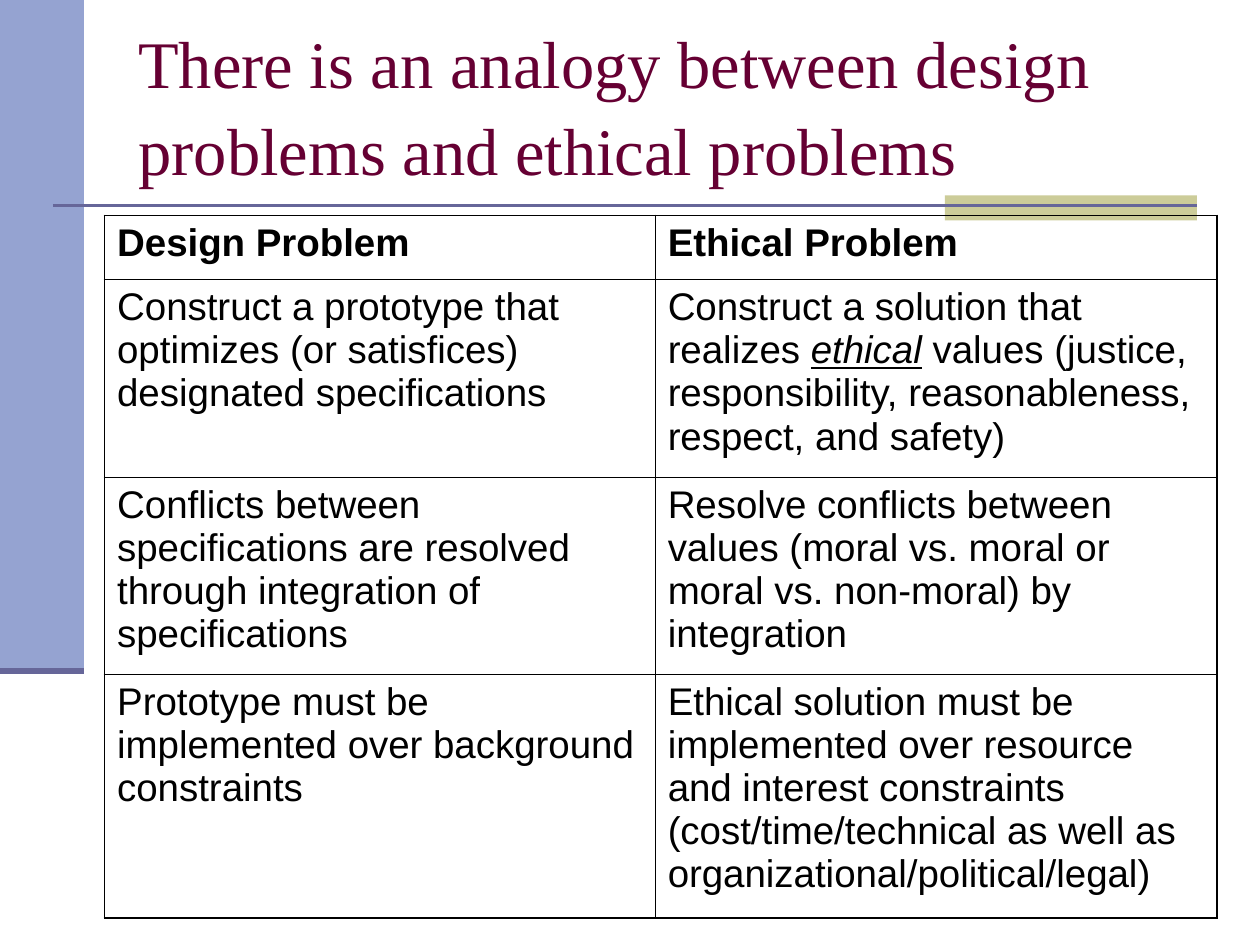
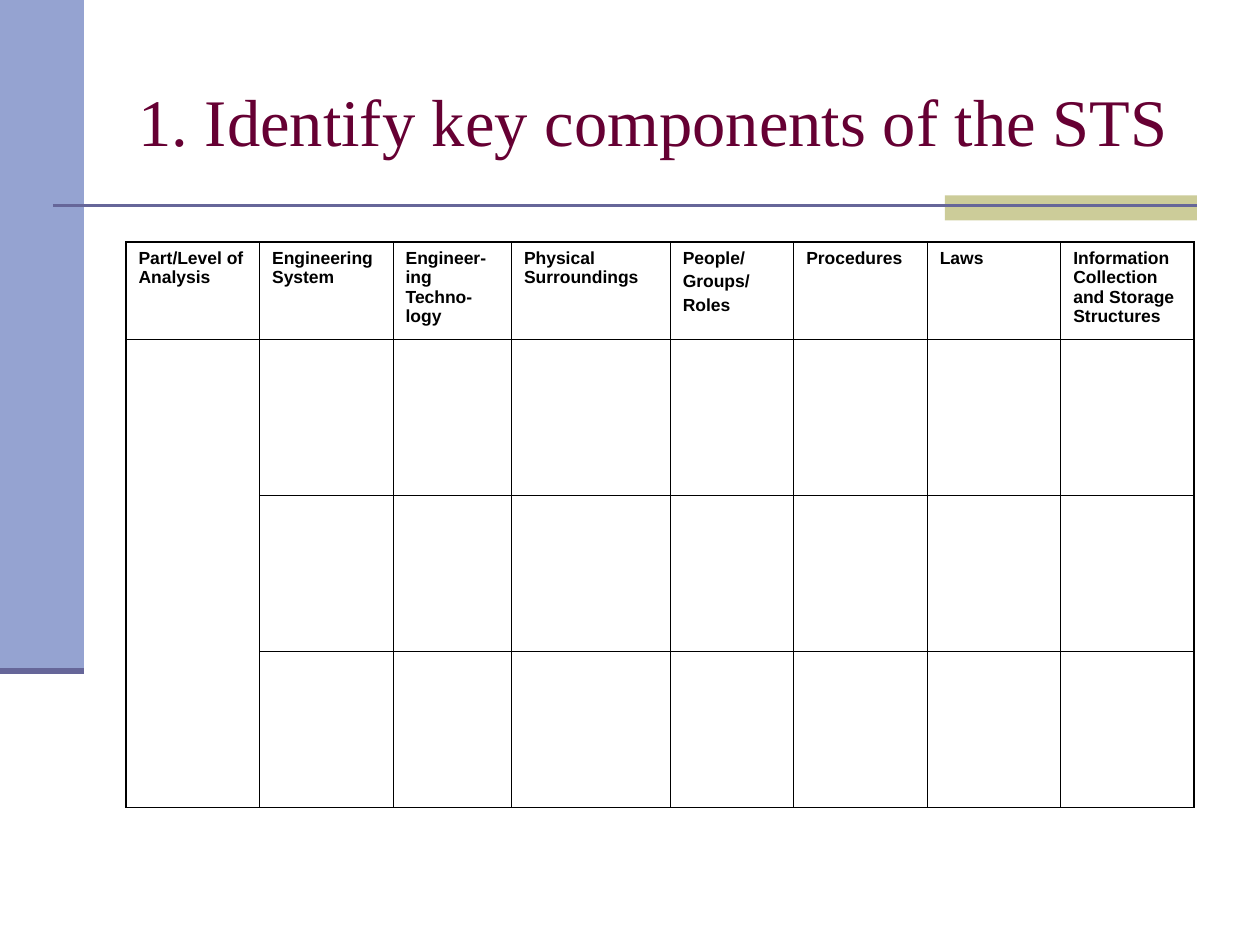
from lxml import etree
from pptx import Presentation
from pptx.dml.color import RGBColor
from pptx.enum.shapes import MSO_CONNECTOR as CONN, MSO_SHAPE as SHAPE
from pptx.enum.text import MSO_ANCHOR as ANCHOR
from pptx.oxml.ns import qn
from pptx.util import Inches, Pt

W, H = 10, 7.5
COLORS = dict(band="95A3D1", accent="CCCC99", rule="666699",
              title="660033", text="000000")
TITLE = dict(size=Pt(38), name="Times New Roman")
OUTER, INNER = 1.08, 0.45  # border widths in points

# A cell is a list of paragraphs; a paragraph is text or a list of (text, format) runs.
ETHICAL_VALUES = [
    ("Construct a solution that realizes ", {}),
    ("ethical", dict(italic=True, underline=True)),
    (" values (justice, responsibility, reasonableness, respect, and safety)", {}),
]
SLIDES = [
    dict(
        title="There is an analogy between design problems and ethical problems",
        title_box=(1, 0.17, 8.5, 1.28),
        table_at=(0.83, 1.71), cols=[4.37, 4.46], rows=[0.51, 1.56, 1.56, 1.93],
        size=22, before=5.5, merge=None,
        cells=[
            [["Design Problem"], ["Ethical Problem"]],
            [["Construct a prototype that optimizes (or satisfices) "
              "designated specifications"], [ETHICAL_VALUES]],
            [["Conflicts between specifications are resolved through "
              "integration of specifications"],
             ["Resolve conflicts between values (moral vs. moral or "
              "moral vs. non-moral) by integration"]],
            [["Prototype must be implemented over background constraints"],
             ["Ethical solution must be implemented over resource and interest "
              "constraints (cost/time/technical as well as "
              "organizational/political/legal)"]],
        ],
    ),
    dict(
        title="1. Identify key components of the STS",
        title_box=(1, 0.3, 8.5, 1.25),
        table_at=(1, 1.92), rows=[0.77] + [1.24] * 3,
        cols=[1.06, 1.06, 0.94, 1.26, 0.98, 1.06, 1.06, 1.06],
        size=10, before=2.5, merge=((1, 0), (3, 0)),
        cells=[
            [["Part/Level of Analysis"], ["Engineering System"],
             ["Engineer-ing Techno-logy"], ["Physical Surroundings"],
             ["People/", "Groups/", "Roles"], ["Procedures"], ["Laws"],
             ["Information Collection and Storage Structures"]],
        ],
    ),
]


def rgb(hex_color):
    return RGBColor.from_string(hex_color)


def inches(values):
    return [Inches(v) for v in values]


def add_block(s, box, color):
    sp = s.shapes.add_shape(SHAPE.RECTANGLE, *inches(box))
    sp.shadow.inherit = False
    sp.fill.solid()
    sp.fill.fore_color.rgb = rgb(color)
    sp.line.fill.background()


def add_rule(s, x1, x2, y, width):
    line = s.shapes.add_connector(CONN.STRAIGHT, *inches((x1, y, x2, y)))
    line.line.color.rgb = rgb(COLORS["rule"])
    line.line.width = Pt(width)
    etree.SubElement(line._element.spPr, qn("a:effectLst"))


def add_frame(s):
    """Side band, accent block and the rules that every slide carries."""
    band_w, band_h, right = W / 15, H * 0.71, W * 0.95
    add_block(s, (0, 0, band_w, band_h), COLORS["band"])
    add_block(s, (right - 2, 1.55, 2, 0.2), COLORS["accent"])
    add_rule(s, 0.42, right, 1.63, 1.5)
    add_rule(s, 0, band_w, band_h, 3.5)


def add_run(p, text, color, **formats):
    r = p.add_run()
    r.text = text
    r.font.color.rgb = rgb(color)
    for name, value in formats.items():
        setattr(r.font, name, value)


def add_title(s, text, box):
    tf = s.shapes.add_textbox(*inches(box)).text_frame
    tf.word_wrap = True
    tf.vertical_anchor = ANCHOR.MIDDLE
    p = tf.paragraphs[0]
    p.line_spacing = 1.09
    add_run(p, text, COLORS["title"], **TITLE)


def fill_cell(cell, paragraphs, before, **formats):
    tf = cell.text_frame
    for i, content in enumerate(paragraphs):
        p = tf.add_paragraph() if i else tf.paragraphs[0]
        p.space_before = Pt(before)
        runs = [(content, {})] if isinstance(content, str) else content
        for text, extra in runs:
            add_run(p, text, COLORS["text"], **formats, **extra)


def set_borders(cell, edges):
    """Draw the four sides; edges tells for L, R, T, B if it is on the rim."""
    tc_pr = cell._tc.get_or_add_tcPr()
    for i, (side, on_rim) in enumerate(zip("LRTB", edges)):
        ln = etree.Element(qn(f"a:ln{side}"), w=str(Pt(OUTER if on_rim else INNER)))
        fill = etree.SubElement(ln, qn("a:solidFill"))
        etree.SubElement(fill, qn("a:srgbClr"), val=COLORS["text"])
        tc_pr.insert(i, ln)


def add_grid(s, d):
    cols, rows = d["cols"], d["rows"]
    n_rows, n_cols = len(rows), len(cols)
    box = (*d["table_at"], sum(cols), sum(rows))
    table = s.shapes.add_table(n_rows, n_cols, *inches(box)).table
    table.first_row = table.horz_banding = False
    for col, width in zip(table.columns, cols):
        col.width = Inches(width)
    for row, height in zip(table.rows, rows):
        row.height = Inches(height)
    if d["merge"]:
        first, last = d["merge"]
        table.cell(*first).merge(table.cell(*last))
    for r in range(n_rows):
        for c in range(n_cols):
            cell = table.cell(r, c)
            bottom = r + (cell.span_height if cell.is_merge_origin else 1)
            cell.fill.background()
            set_borders(cell, (c == 0, c == n_cols - 1, r == 0, bottom == n_rows))
    for r, row in enumerate(d["cells"]):
        for c, paragraphs in enumerate(row):
            fill_cell(table.cell(r, c), paragraphs, d["before"],
                      size=Pt(d["size"]), name="Arial", bold=r == 0)


def main():
    prs = Presentation()
    prs.slide_width, prs.slide_height = inches((W, H))
    for d in SLIDES:
        s = prs.slides.add_slide(prs.slide_layouts[6])
        add_frame(s)
        add_title(s, d["title"], d["title_box"])
        add_grid(s, d)
    prs.save("out.pptx")


if __name__ == "__main__":
    main()
